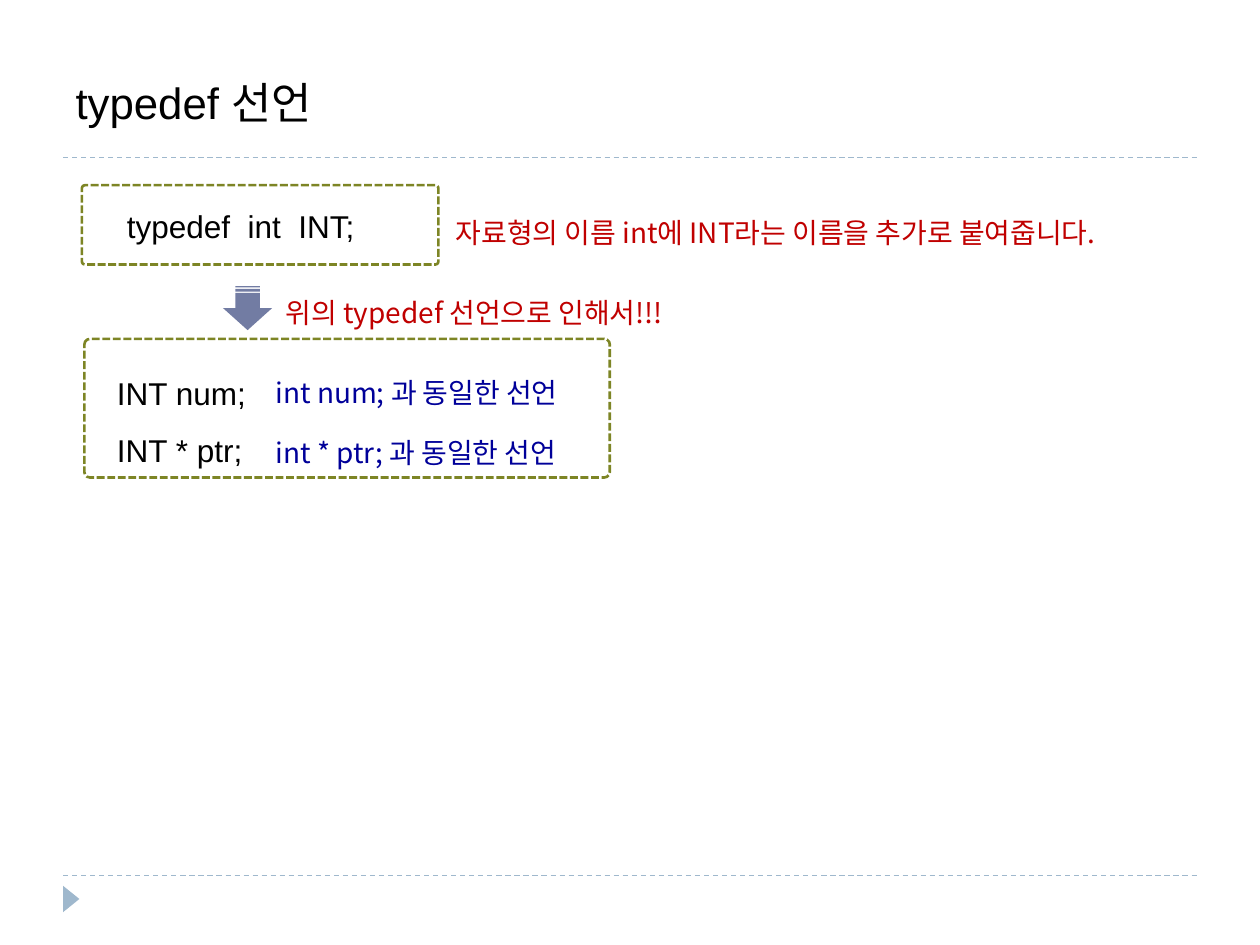
from lxml import etree
from pptx import Presentation
from pptx.dml.color import RGBColor
from pptx.enum.dml import MSO_LINE
from pptx.enum.shapes import MSO_CONNECTOR, MSO_SHAPE as SHAPE
from pptx.enum.text import MSO_ANCHOR as ANCHOR, MSO_AUTO_SIZE as AUTO, PP_ALIGN as ALIGN
from pptx.oxml.ns import qn
from pptx.util import Pt

PX = 9144  # 100 px to the inch
LATIN, KOREAN = "Arial", "Noto Sans CJK KR"
BLACK = RGBColor(0x00, 0x00, 0x00)
RED = RGBColor(0xC0, 0x00, 0x00)
NAVY = RGBColor(0x00, 0x00, 0x99)
OLIVE = RGBColor(0x7D, 0x85, 0x25)
SLATE = RGBColor(0x72, 0x7C, 0xA3)
PALE_BLUE = RGBColor(0x9F, 0xB8, 0xCD)

deck = Presentation()
deck.slide_width, deck.slide_height = 1000 * PX, 750 * PX
page = deck.slides.add_slide(deck.slide_layouts[5])


def write(box, text, size=16, font=KOREAN, color=BLACK, anchor=ANCHOR.MIDDLE, spacing=1.5):
    frame = box.text_frame
    frame.word_wrap = True
    frame.auto_size = AUTO.NONE
    frame.vertical_anchor = anchor
    frame.text = text
    for para in frame.paragraphs:
        para.alignment = ALIGN.LEFT
        para.line_spacing = spacing
        for span in para.runs:
            span.font.size = Pt(size)
            span.font.name = font
            span.font.color.rgb = color
            east_asian = etree.SubElement(span.font._element, qn("a:ea"))
            east_asian.set("typeface", KOREAN)


def add_shape(kind, left, top, width, height, fill=None, rotation=0):
    shape = page.shapes.add_shape(kind, left * PX, top * PX, width * PX, height * PX)
    shape.shadow.inherit = False
    shape.rotation = rotation
    shape.line.fill.background()
    if fill is None:
        shape.fill.background()
    else:
        shape.fill.solid()
        shape.fill.fore_color.rgb = fill
    return shape


# Dashed rules and the corner marker
for y in (695, 125):
    rule = page.shapes.add_connector(MSO_CONNECTOR.STRAIGHT, 50 * PX, y * PX, 950 * PX, y * PX)
    rule.line.color.rgb = PALE_BLUE
    rule.line.width = Pt(0.75)
    rule.line.dash_style = MSO_LINE.DASH
    etree.SubElement(rule._element.spPr, qn("a:effectLst"))
add_shape(SHAPE.ISOSCELES_TRIANGLE, 46, 707, 21, 13, PALE_BLUE, 90)

# Title
title = page.shapes.title
title.left, title.top, title.width, title.height = 50 * PX, 30 * PX, 789 * PX, 77 * PX
write(title, "typedef 선언", size=25, font=LATIN, anchor=ANCHOR.BOTTOM, spacing=1.0)

# Frames around the code, and the arrow between them
for place in ((65, 147, 283, 63), (67, 269, 417, 110)):
    frame_box = add_shape(SHAPE.ROUNDED_RECTANGLE, *place)
    frame_box.adjustments[0] = 0.04
    frame_box.line.color.rgb = OLIVE
    frame_box.line.width = Pt(1.5)
    frame_box.line.dash_style = MSO_LINE.SQUARE_DOT
add_shape(SHAPE.STRIPED_RIGHT_ARROW, 179, 225, 35, 39, SLATE, 90)

# Code and the remarks on it
code = dict(size=18, font=LATIN, anchor=ANCHOR.TOP)
texts = [
    ((91, 159, 236, 40), "typedef  int  INT;", dict(code, spacing=1.0)),
    ((83, 277, 193, 95), "INT num;\nINT * ptr;", code),
    ((352, 158, 535, 39), "자료형의 이름 int에 INT라는 이름을 추가로 붙여줍니다.", dict(color=RED)),
    ((217, 222, 339, 39), "위의 typedef 선언으로 인해서!!!", dict(color=RED)),
    ((209, 285, 276, 39), "int num; 과 동일한 선언", dict(color=NAVY)),
    ((209, 333, 276, 39), "int * ptr; 과 동일한 선언", dict(color=NAVY)),
]
for place, text, style in texts:
    box = page.shapes.add_textbox(*(length * PX for length in place))
    write(box, text, **style)

deck.save("out.pptx")
